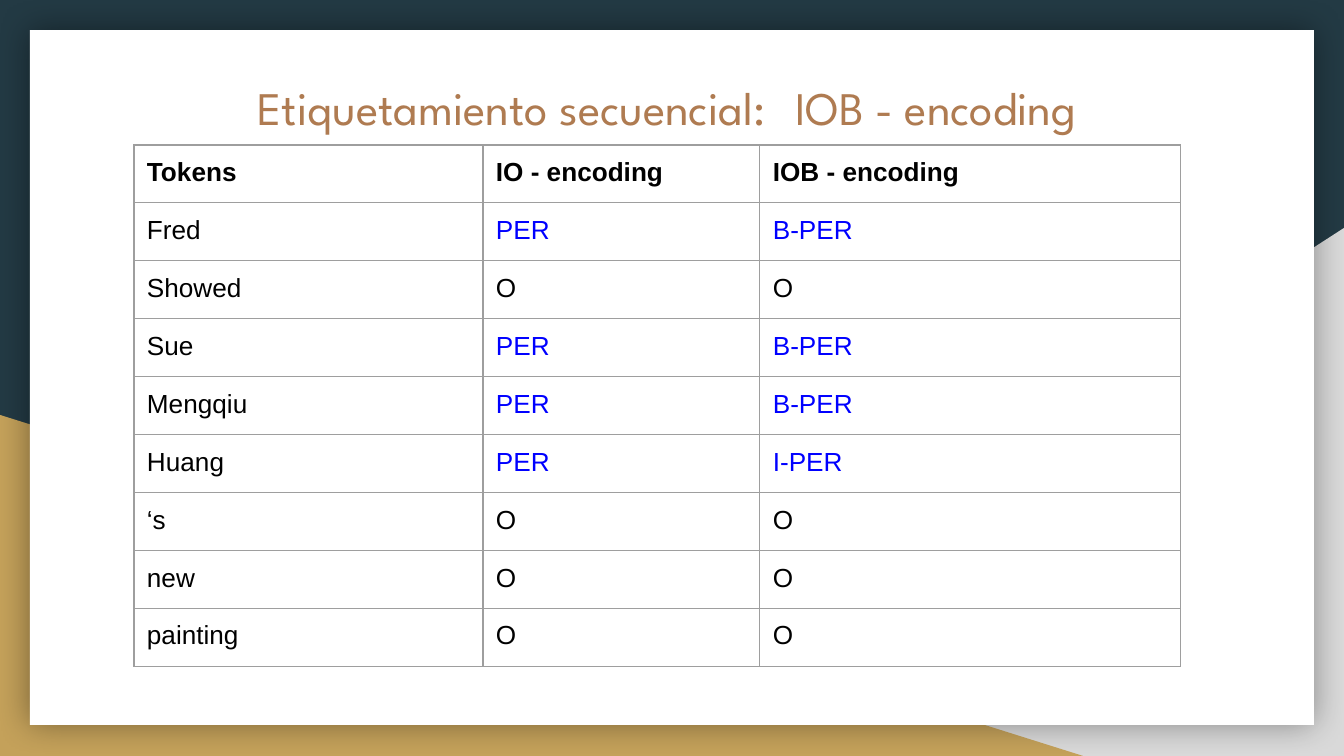
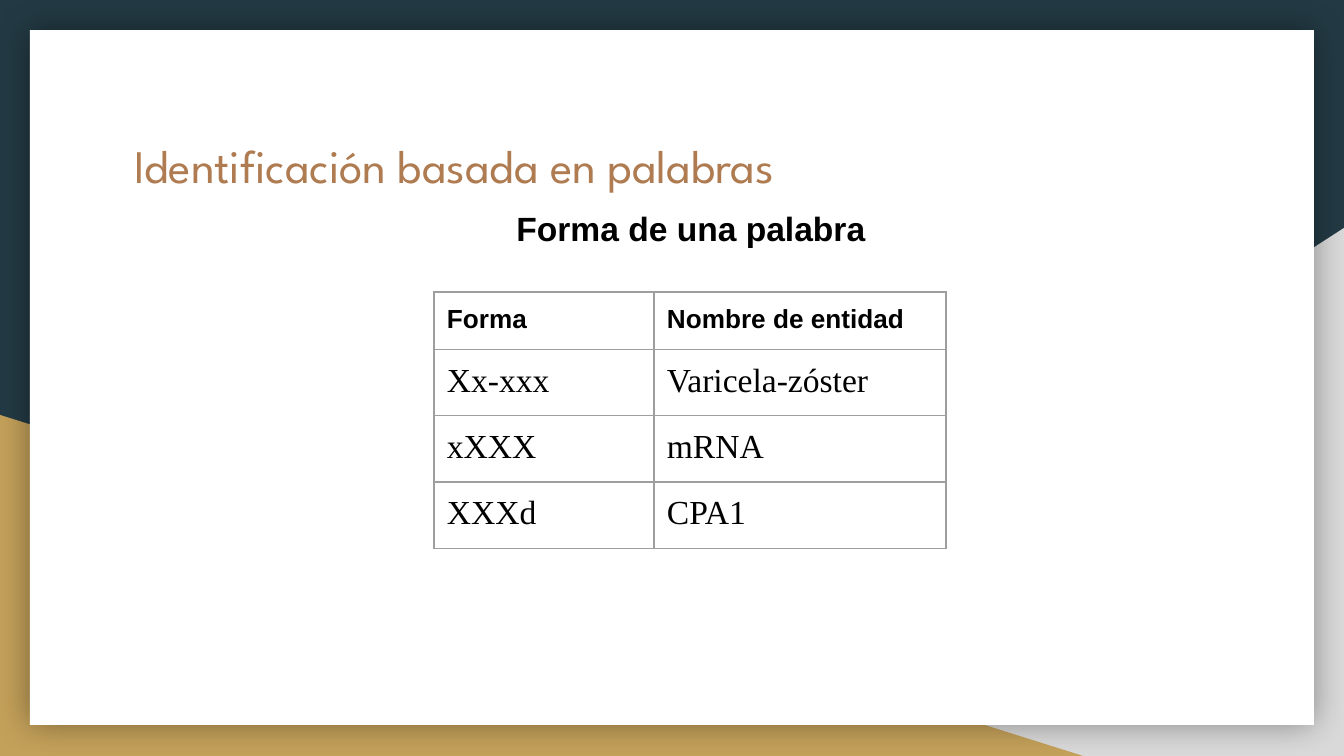
import pptx
import pptx.dml.color
import pptx.enum.shapes
import pptx.enum.text
import pptx.oxml
import pptx.oxml.ns
import pptx.util

ALIGN = pptx.enum.text.PP_ALIGN
SHAPE = pptx.enum.shapes.MSO_SHAPE
NAMESPACE = pptx.oxml.ns.nsdecls("a")

PX_PER_INCH = 134.4
SLIDE_SIZE = (1344, 756)
INSET = 13

NAVY = "233A44"
GRAY = "D9D9D9"
GOLD = "C4A15A"
WHITE = "FFFFFF"
COPPER = "AF7B51"
BLACK = "000000"
BLUE = "0000FF"
BORDER = "9E9E9E"

IOB_ROWS = [
    ("Tokens", "IO - encoding", "IOB - encoding"),
    ("Fred", "PER", "B-PER"),
    ("Showed", "O", "O"),
    ("Sue", "PER", "B-PER"),
    ("Mengqiu", "PER", "B-PER"),
    ("Huang", "PER", "I-PER"),
    ("‘s", "O", "O"),
    ("new", "O", "O"),
    ("painting", "O", "O"),
]
WORD_SHAPE_ROWS = [
    ("Forma", "Nombre de entidad"),
    ("Xx-xxx", "Varicela-zóster"),
    ("xXXX", "mRNA"),
    ("XXXd", "CPA1"),
]


def px(length):
    return pptx.util.Emu(round(length * 914400 / PX_PER_INCH))


def emu_box(box):
    return [px(length) for length in box]


def color(hex_value):
    return pptx.dml.color.RGBColor.from_string(hex_value)


def write(frame, text, size=14, font="Arial", ink=BLACK, bold=False, align=ALIGN.LEFT):
    paragraph = frame.paragraphs[0]
    paragraph.alignment = align
    run = paragraph.add_run()
    run.text = text
    run.font.size = pptx.util.Pt(size)
    run.font.name = font
    run.font.bold = bold
    run.font.color.rgb = color(ink)


def set_margins(holder, top=INSET):
    holder.margin_left = holder.margin_right = holder.margin_bottom = px(INSET)
    holder.margin_top = px(top)


def text_box(slide, box, text, top=INSET, **style):
    frame = slide.shapes.add_textbox(*emu_box(box)).text_frame
    frame.word_wrap = True
    set_margins(frame, top)
    write(frame, text, **style)


def title(slide, box, text, align=ALIGN.LEFT):
    text_box(slide, box, text, size=25, font="League Spartan", ink=COPPER, align=align)


def panel(slide, kind, box, fill):
    shape = slide.shapes.add_shape(kind, *emu_box(box))
    shape.shadow.inherit = False
    shape.fill.solid()
    shape.fill.fore_color.rgb = color(fill)
    shape.line.fill.background()
    return shape


def add_glow(shape):
    effects = shape._element.spPr.find(pptx.oxml.ns.qn("a:effectLst"))
    effects.append(pptx.oxml.parse_xml(
        f'<a:outerShdw {NAMESPACE} blurRad="{pptx.util.Pt(18)}" dist="0" dir="0" '
        f'algn="ctr" rotWithShape="0"><a:srgbClr val="{BLACK}">'
        '<a:alpha val="40000"/></a:srgbClr></a:outerShdw>'))


def backdrop(slide, box):
    left, top, width, height = box
    right, bottom = left + width, top + height
    slide.background.fill.solid()
    slide.background.fill.fore_color.rgb = color(NAVY)
    gray_corner = panel(slide, SHAPE.RIGHT_TRIANGLE, (right - 817, bottom - 528, 817, 528), GRAY)
    gray_corner._element.spPr.xfrm.set("flipH", "1")
    panel(slide, SHAPE.RIGHT_TRIANGLE, (left, bottom - 341, 1083, 341), GOLD)
    paper = panel(slide, SHAPE.RECTANGLE, (left + 30, top + 30, width - 60, height - 61), WHITE)
    add_glow(paper)


def outline_cell(cell):
    properties = cell._tc.get_or_add_tcPr()
    for position, edge in enumerate(("lnL", "lnR", "lnT", "lnB")):
        properties.insert(position, pptx.oxml.parse_xml(
            f'<a:{edge} {NAMESPACE} w="{pptx.util.Pt(0.75)}"><a:solidFill>'
            f'<a:srgbClr val="{BORDER}"/></a:solidFill></a:{edge}>'))


def tag_table(slide, origin, rows, widths, heights, **body_style):
    box = (*origin, sum(widths), sum(heights))
    table = slide.shapes.add_table(len(rows), len(widths), *emu_box(box)).table
    table.first_row = table.horz_banding = False
    for column, width in zip(table.columns, widths):
        column.width = px(width)
    for row, height in zip(table.rows, heights):
        row.height = px(height)
    for row_index, words in enumerate(rows):
        for column_index, word in enumerate(words):
            cell = table.cell(row_index, column_index)
            cell.fill.background()
            outline_cell(cell)
            set_margins(cell)
            style = body_style if row_index else {"bold": True}
            ink = BLUE if word.endswith("PER") else BLACK
            write(cell.text_frame, word, ink=ink, **style)


def new_slide(deck):
    slide = deck.slides.add_slide(deck.slide_layouts[6])
    backdrop(slide, (0, 0, *SLIDE_SIZE))
    return slide


def iob_slide(deck):
    slide = new_slide(deck)
    title(slide, (63, 66, 1208, 81), "Etiquetamiento secuencial:\tIOB - encoding", ALIGN.CENTER)
    tag_table(slide, (134, 145), IOB_ROWS, (349, 277, 421), [56] + [58] * 8)


def word_shape_slide(deck):
    slide = new_slide(deck)
    title(slide, (121, 124, 1103, 78), "Identificación basada en palabras")
    text_box(slide, (121, 203, 1140, 89), "Forma de una palabra",
             top=5, size=18, bold=True, align=ALIGN.CENTER)
    tag_table(slide, (434, 292), WORD_SHAPE_ROWS, (220, 292), [56] * 4,
              size=18, font="Times New Roman")


def main():
    deck = pptx.Presentation()
    deck.slide_width, deck.slide_height = emu_box(SLIDE_SIZE)
    iob_slide(deck)
    word_shape_slide(deck)
    deck.save("out.pptx")


if __name__ == "__main__":
    main()
